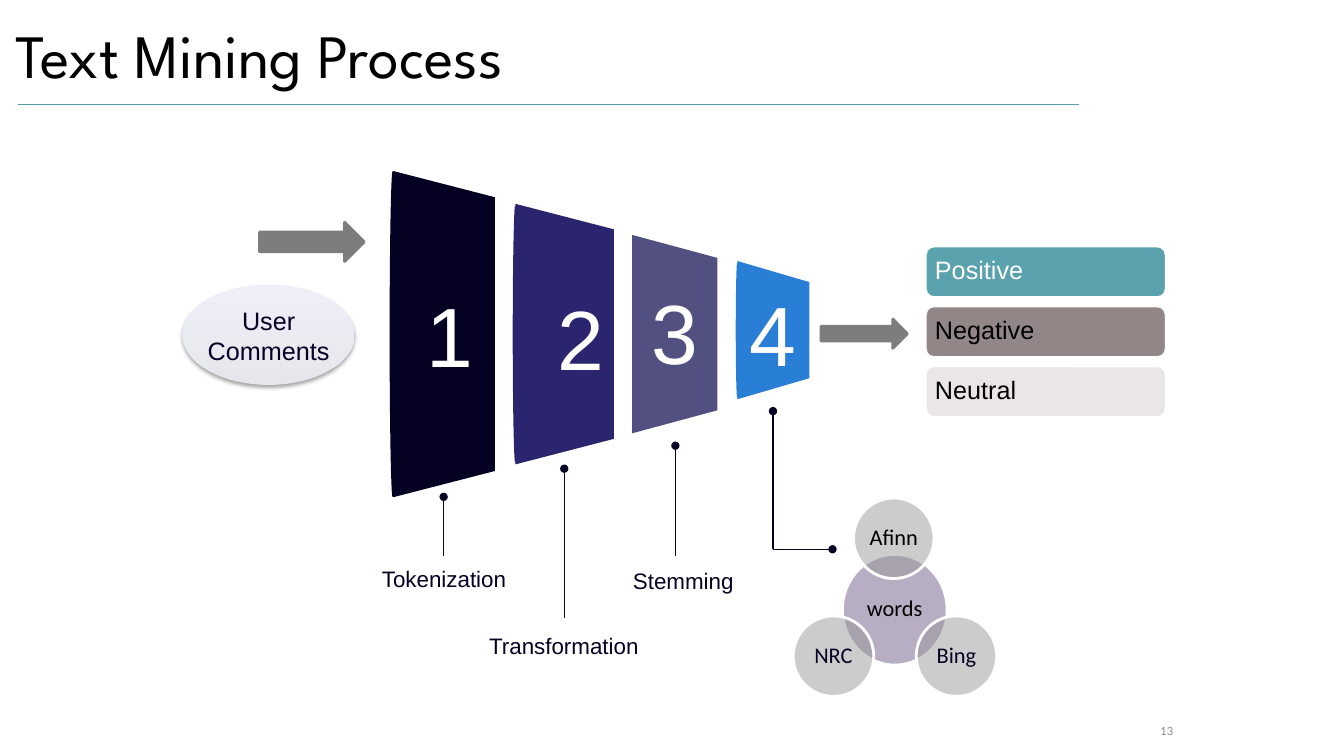
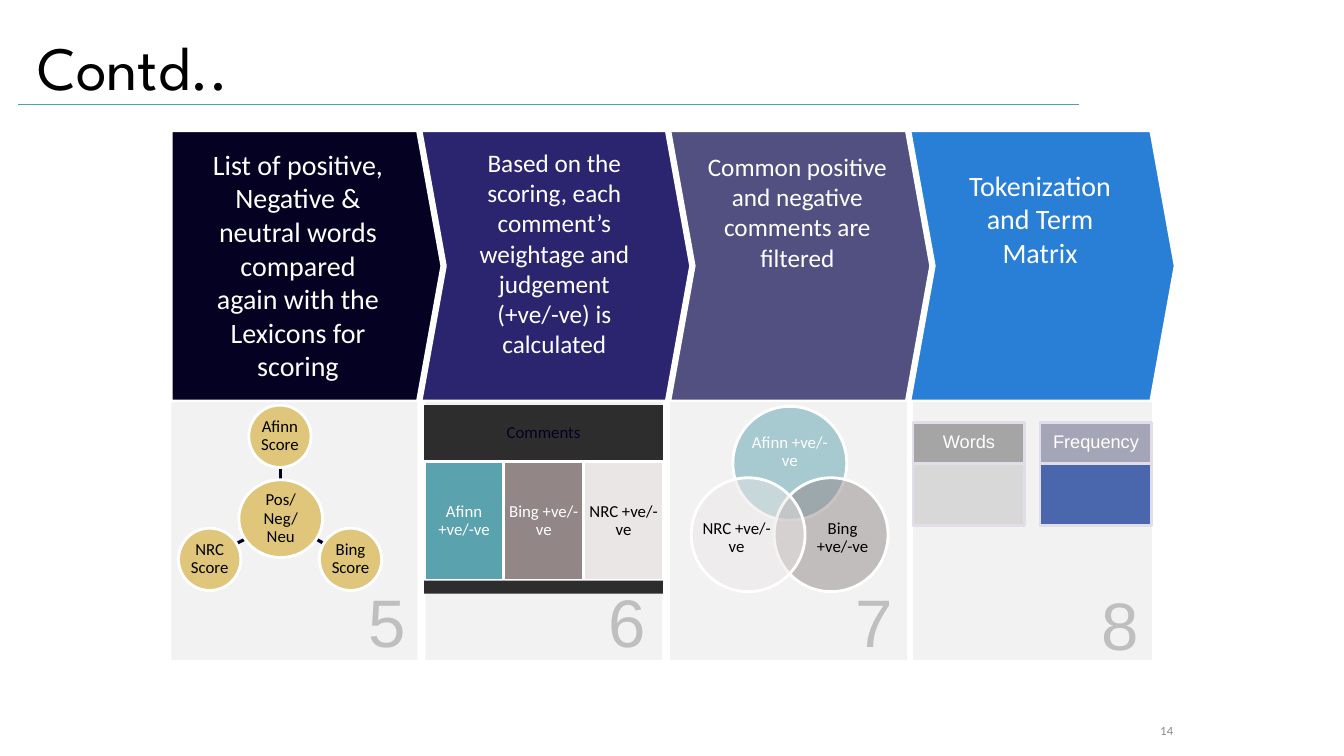
from dataclasses import dataclass

from lxml.etree import SubElement
from pptx import Presentation
from pptx.dml.color import RGBColor
from pptx.enum.shapes import MSO_CONNECTOR, MSO_SHAPE
from pptx.enum.text import MSO_ANCHOR, MSO_AUTO_SIZE, PP_ALIGN
from pptx.oxml.ns import qn
from pptx.util import Cm, Pt


@dataclass(frozen=True)
class Theme:
    # Colours
    black: str = "000000"
    white: str = "FFFFFF"
    ink: str = "040123"
    steps: tuple = ("040123", "2B256F", "515081", "297FD5")
    teal: str = "5AA2AE"
    taupe: str = "928686"
    pale: str = "EBE6E6"
    rule: str = "549FAB"
    page: str = "888888"
    arrow: str = "7D7D7D"
    oval: tuple = ("E6E6EC", "EFEFF9")
    violet: str = "6F5A88"
    grey: str = "979797"
    gold: str = "CC9900"
    spoke: str = "020022"
    panel: str = "F2F2F2"
    step_number: str = "BFBFBF"
    band: str = "2D2D2D"
    cell_edge: str = "E3DDE9"
    # Fonts
    title_font: str = "League Spartan"
    page_font: str = "Lato"
    sans: str = "Arial"
    body: str = "Calibri"
    # Type sizes
    title: int = 44
    funnel_number: int = 60
    panel_number: int = 48
    large: int = 20
    medium: int = 18
    label: int = 16
    cell: int = 13
    small: int = 12
    page_size: int = 8


theme = Theme()
translucent = 49


def block(slide, kind, box, fill=None, line=None, width=2, opacity=None,
          text="", size=theme.small, font=theme.body, color=theme.black,
          align=PP_ALIGN.CENTER, anchor=MSO_ANCHOR.MIDDLE, margin=0.13,
          spacing=None, wrap=True):
    """Add a preset shape, or a text box when kind is None, with its text."""
    lengths = [Cm(value) for value in box]
    if kind is None:
        shape = slide.shapes.add_textbox(*lengths)
    else:
        shape = slide.shapes.add_shape(kind, *lengths)
        shape.shadow.inherit = False
        if fill:
            shape.fill.solid()
            shape.fill.fore_color.rgb = RGBColor.from_string(fill)
        if opacity:
            tint = shape.element.spPr.find(qn("a:solidFill"))[0]
            SubElement(tint, qn("a:alpha"), val=str(opacity * 1000))
        if line:
            shape.line.color.rgb = RGBColor.from_string(line)
            shape.line.width = Pt(width)
        else:
            shape.line.fill.background()
    if text:
        frame = shape.text_frame
        frame.word_wrap = wrap
        frame.vertical_anchor = anchor
        frame.margin_left = frame.margin_right = Cm(margin)
        frame.margin_top = frame.margin_bottom = Cm(margin)
        paragraph = frame.paragraphs[0]
        paragraph.alignment = align
        if spacing:
            paragraph.line_spacing = spacing
        run = paragraph.add_run()
        run.text = text
        run.font.size = Pt(size)
        run.font.name = font
        run.font.color.rgb = RGBColor.from_string(color)
    return shape


def link(slide, x1, y1, x2, y2, color, width, dot=False):
    """Add a straight line, with a dot at its far end if asked for."""
    connector = slide.shapes.add_connector(
        MSO_CONNECTOR.STRAIGHT, Cm(x1), Cm(y1), Cm(x2), Cm(y2))
    connector.line.color.rgb = RGBColor.from_string(color)
    connector.line.width = Pt(width)
    if dot:
        SubElement(connector.line._get_or_add_ln(), qn("a:tailEnd"), type="oval")
    SubElement(connector.element.spPr, qn("a:effectLst"))


prs = Presentation()
prs.slide_width, prs.slide_height = Cm(33.87), Cm(19.05)

# Shared frame: title, rule and page number
slides = []
for heading, page, left, top in [("Text Mining Process", "13", 0.38, 0.43),
                                 ("Contd..", "14", 0.94, 0.74)]:
    slide = prs.slides.add_slide(prs.slide_layouts[5])
    title = slide.shapes.title
    title.left, title.top, title.width, title.height = map(
        Cm, (left, top, 25.2, 1.88))
    frame = title.text_frame
    frame.auto_size = MSO_AUTO_SIZE.NONE
    frame.vertical_anchor = MSO_ANCHOR.TOP
    frame.margin_left = frame.margin_right = 0
    frame.margin_top = frame.margin_bottom = 0
    frame.paragraphs[0].alignment = PP_ALIGN.LEFT
    run = frame.paragraphs[0].add_run()
    run.text = heading
    run.font.size = Pt(theme.title)
    run.font.name = theme.title_font
    run.font.color.rgb = RGBColor.from_string(theme.black)
    link(slide, 0.46, 2.64, 27.18, 2.64, theme.rule, 0.75)
    block(slide, None, (28.57, 18.24, 1, 0.36), text=page,
          size=theme.page_size, font=theme.page_font, color=theme.page,
          align=PP_ALIGN.RIGHT, anchor=MSO_ANCHOR.TOP, margin=0)
    slides.append(slide)
process, contd = slides

# Funnel: left, right, middle, half heights, bulge, number centre and top
funnel = [
    (9.91, 12.47, 8.42, 4.11, 3.45, 0.15, 11.33, 7.01),
    (13.0, 15.47, 8.42, 3.28, 2.64, 0.13, 14.63, 7.09),
    (15.93, 18.08, 8.42, 2.5, 1.92, 0, 17.0, 6.93),
    (18.59, 20.4, 8.32, 1.74, 1.21, 0.08, 19.48, 6.99),
]
for number, (stage, color) in enumerate(zip(funnel, theme.steps), 1):
    left, right, middle, tall, short, bulge, center, top = stage
    outline = process.shapes.build_freeform(Cm(left), Cm(middle - tall))
    outline.add_line_segments([
        (Cm(right), Cm(middle - short)), (Cm(right), Cm(middle + short)),
        (Cm(left), Cm(middle + tall))], close=True)
    segment = outline.convert_to_shape()
    segment.shadow.inherit = False
    segment.fill.solid()
    segment.fill.fore_color.rgb = RGBColor.from_string(color)
    segment.line.fill.background()
    if bulge:
        block(process, MSO_SHAPE.OVAL,
              (left - bulge * 0.6, middle - tall, bulge, 2 * tall), color)
    block(process, None, (center - 0.75, top, 1.5, 2.6), text=str(number),
          size=theme.funnel_number, font=theme.sans, color=theme.white,
          anchor=MSO_ANCHOR.TOP)

# Stems and step names
for stem in [(11.18, 14, 11.18, 12.52), (14.22, 15.57, 14.22, 11.81),
             (17.02, 14, 17.02, 11.23), (19.48, 13.84, 19.48, 10.36),
             (19.48, 13.84, 20.98, 13.84)]:
    link(process, *stem, theme.ink, 1, dot=True)
for step, center, top in [("Tokenization", 11.19, 14.1),
                          ("Transformation", 14.21, 15.8),
                          ("Stemming", 17.22, 14.15)]:
    block(process, None, (center - 2.2, top, 4.4, 0.94), text=step,
          size=theme.label, font=theme.sans, color=theme.ink,
          anchor=MSO_ANCHOR.TOP)

# Input and output
for arrow in [(6.54, 5.6, 2.64, 0.99), (20.69, 8.04, 2.18, 0.74)]:
    block(process, MSO_SHAPE.RIGHT_ARROW, arrow, theme.arrow, theme.arrow)
comments = block(process, MSO_SHAPE.OVAL, (4.6, 7.19, 4.34, 2.51),
                 text="User Comments", size=theme.medium, font=theme.sans,
                 color=theme.ink, margin=0)
comments.fill.gradient()
comments.fill.gradient_angle = 90
for stop, color in zip(comments.fill.gradient_stops, theme.oval):
    stop.color.rgb = RGBColor.from_string(color)
shade = SubElement(comments.element.spPr.find(qn("a:effectLst")),
                   qn("a:outerShdw"), blurRad=str(Pt(3)), dist=str(Pt(1.6)),
                   dir="5400000", rotWithShape="0")
shade_color = SubElement(shade, qn("a:srgbClr"), val=theme.black)
SubElement(shade_color, qn("a:alpha"), val="37000")

for row, (mood, fill, color) in enumerate([
        ("Positive", theme.teal, theme.white),
        ("Negative", theme.taupe, theme.black),
        ("Neutral", theme.pale, theme.black)]):
    block(process, MSO_SHAPE.ROUNDED_RECTANGLE,
          (23.32, 6.2 + row * 1.51, 6.07, 1.3), fill, theme.white, text=mood,
          size=theme.medium, font=theme.sans, color=color,
          align=PP_ALIGN.LEFT, margin=0.18, spacing=0.9)

# Lexicon circles
for lexicon, circle, fill, color in [
        ("words", (21.23, 13.97, 2.64, 2.79), theme.violet, theme.black),
        ("Afinn", (21.51, 12.55, 2.03, 2.03), theme.grey, theme.black),
        ("Bing", (23.09, 15.52, 2.03, 2.03), theme.grey, theme.ink),
        ("NRC", (19.99, 15.52, 2.03, 2.03), theme.grey, theme.ink)]:
    block(process, MSO_SHAPE.OVAL, circle, fill, theme.white,
          opacity=translucent, text=lexicon, size=theme.label, color=color,
          margin=0.05, spacing=0.9)

# Chevrons, right to left so that each overlaps the next
chevrons = [
    (4.27, 6.91, "List of positive, Negative & neutral words compared again "
     "with the Lexicons for scoring", theme.large, (5.16, 3.58, 4.7, 6.25)),
    (9.91, 7.54, "Based on the scoring, each comment’s weightage and "
     "judgement (+ve/-ve) is calculated", theme.medium,
     (11.81, 3.58, 4.32, 6.25)),
    (16.59, 6.91, "Common positive and negative comments are filtered",
     theme.medium, (17.48, 3.68, 5.23, 3.33)),
    (22.73, 6.93, "Tokenization and Term Matrix", theme.large,
     (24.05, 4.11, 4.32, 2.82)),
]
for (left, width, text, size, area), color in reversed(
        list(zip(chevrons, theme.steps))):
    chevron = block(contd, MSO_SHAPE.PENTAGON, (left, 3.25, width, 6.9),
                    color, theme.white, width=4.5)
    chevron.adjustments[0] = 0.09
    block(contd, None, area, text=text, size=size, color=theme.white,
          anchor=MSO_ANCHOR.TOP)

# Panels and their numbers
for number, (left, width, center, top) in enumerate([
        (4.32, 6.2, 9.75, 14.5), (10.72, 5.97, 15.8, 14.5),
        (16.89, 5.97, 22.03, 14.5), (23.01, 6.02, 28.23, 14.58)], 5):
    block(contd, MSO_SHAPE.RECTANGLE, (left, 10.13, width, 6.5), theme.panel)
    block(contd, None, (center - 0.83, top, 1.66, 2.3), text=str(number),
          size=theme.panel_number, font=theme.sans, color=theme.step_number,
          anchor=MSO_ANCHOR.TOP)

# Panel 5: score hub
for spoke in [(7.06, 12.09, 7.06, 11.79), (7.98, 13.59, 8.15, 13.69),
              (6.17, 13.59, 5.97, 13.69)]:
    link(contd, *spoke, theme.spoke, 2.25)
for score, circle in [("Pos/Neg/Neu", (6.02, 12.09, 2.11, 1.96)),
                      ("Afinn Score", (6.27, 10.21, 1.57, 1.57)),
                      ("Bing Score", (8.05, 13.31, 1.57, 1.57)),
                      ("NRC Score", (4.5, 13.31, 1.57, 1.57))]:
    block(contd, MSO_SHAPE.OVAL, circle, theme.gold, theme.white,
          opacity=translucent, text=score, margin=0.03, spacing=0.9)

# Panel 6: comments by lexicon
block(contd, MSO_SHAPE.RECTANGLE, (10.69, 10.21, 6.02, 1.42), theme.band,
      text="Comments", color=theme.ink, spacing=0.9)
for column, (lexicon, fill, color) in enumerate([
        ("Afinn +ve/-ve", theme.teal, theme.white),
        ("Bing +ve/-ve", theme.taupe, theme.white),
        ("NRC +ve/-ve", theme.pale, theme.black)]):
    block(contd, MSO_SHAPE.RECTANGLE, (10.69 + column * 2.01, 11.63, 2.01, 3),
          fill, theme.white, text=lexicon, color=color, spacing=0.9)
block(contd, MSO_SHAPE.RECTANGLE, (10.69, 14.63, 6.02, 0.33), theme.band)

# Panel 7: overlapping lexicons
for lexicon, left, top, fill, color, area in [
        ("Afinn +ve/-ve", 18.47, 10.24, theme.teal, theme.white,
         (18.85, 10.74, 2.11, 1.3)),
        ("Bing +ve/-ve", 19.51, 12.04, theme.taupe, theme.black,
         (20.37, 12.78, 1.73, 1.57)),
        ("NRC +ve/-ve", 17.42, 12.04, theme.pale, theme.black,
         (17.7, 12.78, 1.73, 1.57))]:
    block(contd, MSO_SHAPE.OVAL, (left, top, 2.87, 2.87), fill, theme.white,
          opacity=translucent)
    block(contd, None, area, text=lexicon, color=color, margin=0, spacing=0.9)

# Panel 8: term matrix
for term, left, head, cell in [("Words", 23.01, "A5A5A5", "D8D8D8"),
                               ("Frequency", 26.21, "A5A5B8", "4A66AC")]:
    block(contd, MSO_SHAPE.RECTANGLE, (left, 10.64, 2.82, 1.04), head,
          theme.cell_edge, text=term, size=theme.cell, font=theme.sans,
          color=theme.white, spacing=0.9)
    block(contd, MSO_SHAPE.RECTANGLE, (left, 11.68, 2.82, 1.57), cell,
          theme.cell_edge)

prs.save("out.pptx")
